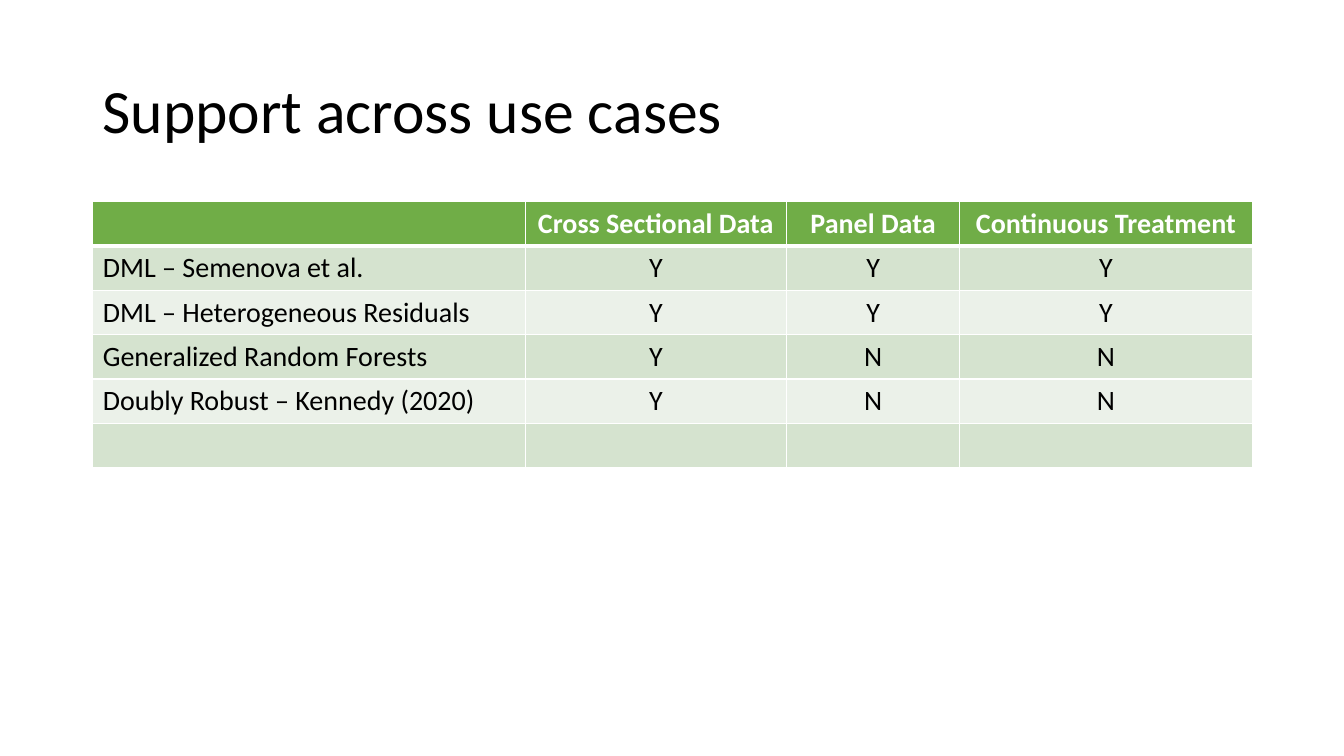
from dataclasses import dataclass

from lxml import etree
from pptx import Presentation
from pptx import util as u
from pptx.dml.color import RGBColor
from pptx.enum import text
from pptx.oxml.ns import qn

COLORS = {
    "ink": "000000",
    "white": "FFFFFF",
    "header": "70AD47",
    "band_dark": "D5E3CF",
    "band_light": "EBF1E9",
}
TITLE_FONT = {"name": "Calibri", "size": u.Pt(44), "bold": False}
HEADER_FONT = {"name": "Calibri", "size": u.Pt(20), "bold": True}
BODY_FONT = {**HEADER_FONT, "bold": False}

COLUMN_WIDTHS = (4.29, 2.59, 1.72, 2.9)
ROW_HEIGHT = 0.44


@dataclass
class MethodRow:
    method: str = ""
    support: tuple[str, ...] = ("", "", "")


USE_CASES = MethodRow("", ("Cross Sectional Data", "Panel Data", "Continuous Treatment"))
METHODS = [
    MethodRow("DML – Semenova et al.", ("Y", "Y", "Y")),
    MethodRow("DML – Heterogeneous Residuals", ("Y", "Y", "Y")),
    MethodRow("Generalized Random Forests", ("Y", "N", "N")),
    MethodRow("Doubly Robust – Kennedy (2020)", ("Y", "N", "N")),
    MethodRow(),
]


def write(paragraph, words: str, formats: dict, color: str) -> None:
    run = paragraph.add_run()
    run.text = words
    for attribute, value in formats.items():
        setattr(run.font, attribute, value)
    run.font.color.rgb = RGBColor.from_string(COLORS[color])


def add_borders(cell, widths: dict[str, float]) -> None:
    properties = cell._tc.get_or_add_tcPr()
    for side, points in widths.items():
        line = etree.SubElement(properties, qn(f"a:ln{side}"), w=str(u.Pt(points)))
        fill = etree.SubElement(line, qn("a:solidFill"))
        etree.SubElement(fill, qn("a:srgbClr"), val=COLORS["white"])


def add_title(slide, words: str) -> None:
    title = slide.shapes.add_textbox(
        u.Inches(0.92), u.Inches(0.4), u.Inches(11.5), u.Inches(1.45)
    ).text_frame
    title.word_wrap = True
    title.vertical_anchor = text.MSO_ANCHOR.MIDDLE
    title.paragraphs[0].line_spacing = 0.9
    write(title.paragraphs[0], words, TITLE_FONT, "ink")


def add_support_table(slide, rows: list[MethodRow]) -> None:
    support = slide.shapes.add_table(
        len(rows), len(COLUMN_WIDTHS), u.Inches(0.92), u.Inches(2),
        u.Inches(sum(COLUMN_WIDTHS)), u.Inches(ROW_HEIGHT * len(rows)),
    ).table
    for column, width in zip(support.columns, COLUMN_WIDTHS):
        column.width = u.Inches(width)

    for r, row in enumerate(rows):
        is_header = r == 0
        band = "header" if is_header else ("band_light", "band_dark")[r % 2]
        support.rows[r].height = u.Inches(ROW_HEIGHT)
        for c, words in enumerate((row.method, *row.support)):
            cell = support.cell(r, c)
            # The rule below the header is heavier than the grid
            add_borders(cell, {"L": 1, "R": 1, "T": 3 if r == 1 else 1, "B": 3 if is_header else 1})
            cell.fill.solid()
            cell.fill.fore_color.rgb = RGBColor.from_string(COLORS[band])
            if words:
                paragraph = cell.text_frame.paragraphs[0]
                paragraph.alignment = text.PP_ALIGN.CENTER if c else text.PP_ALIGN.LEFT
                write(paragraph, words, HEADER_FONT if is_header else BODY_FONT,
                      "white" if is_header else "ink")


def main() -> None:
    deck = Presentation()
    deck.slide_width, deck.slide_height = u.Inches(13.33), u.Inches(7.5)
    slide = deck.slides.add_slide(deck.slide_layouts[6])

    # Heading
    add_title(slide, "Support across use cases")

    # Methods against use cases
    add_support_table(slide, [USE_CASES, *METHODS])

    deck.save("out.pptx")


if __name__ == "__main__":
    main()
